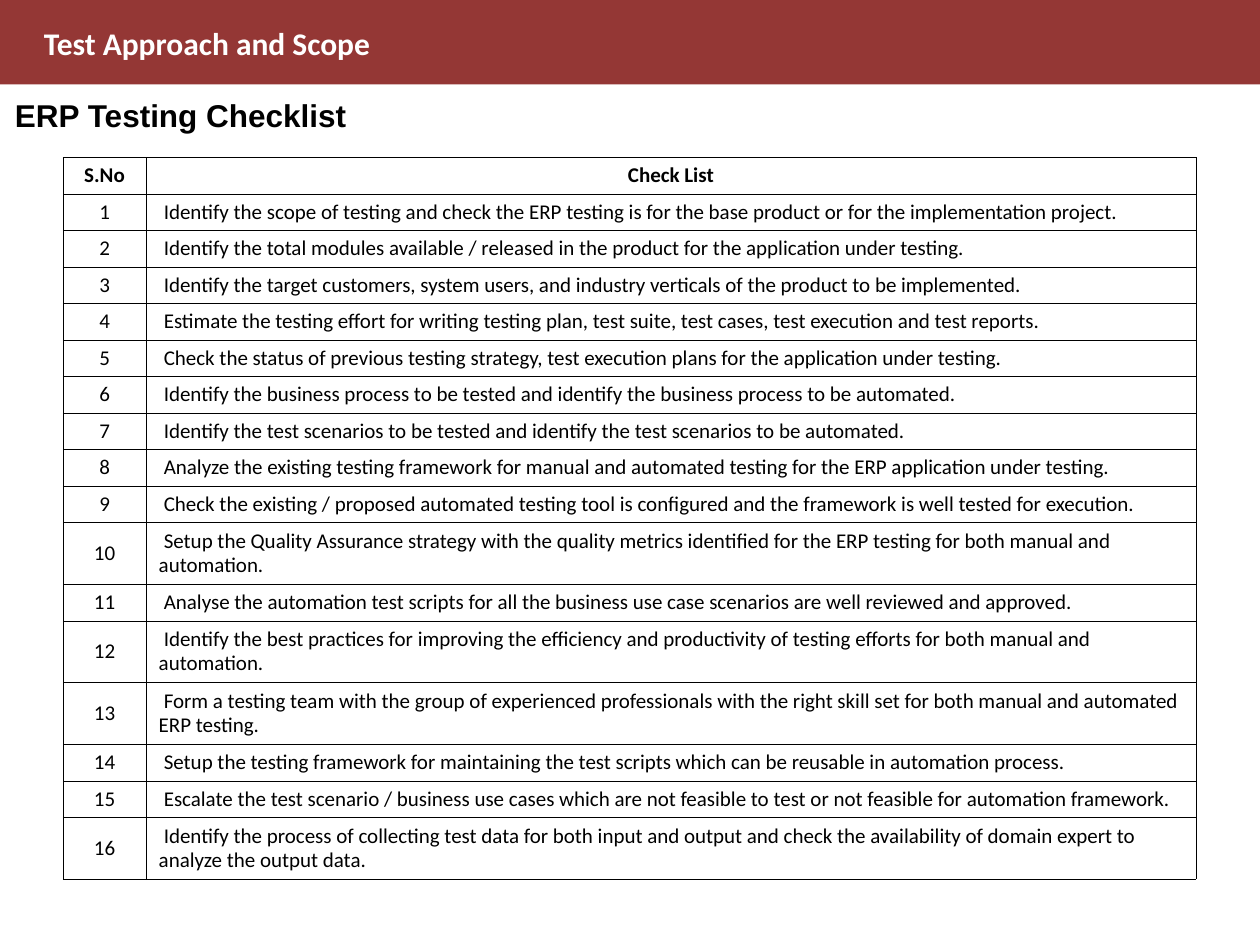
from dataclasses import dataclass

from lxml.etree import SubElement
from pptx import Presentation
from pptx.dml.color import RGBColor
from pptx.enum.shapes import MSO_SHAPE
from pptx.enum.text import MSO_ANCHOR, PP_ALIGN
from pptx.oxml.ns import qn
from pptx.util import Inches, Pt


@dataclass(frozen=True)
class Theme:
    band: RGBColor = RGBColor(0x94, 0x37, 0x35)
    light: RGBColor = RGBColor(0xFF, 0xFF, 0xFF)
    dark: RGBColor = RGBColor(0, 0, 0)
    body_font: str = "Calibri"
    heading_font: str = "Arial"
    title_size: float = 18
    cell_size: float = 12
    line_width: float = 0.23
    spacing: float = 0.93


@dataclass(frozen=True)
class Label:
    text: str
    left: float
    top: float
    width: float
    height: float
    font: str
    color: RGBColor
    spacing: float


@dataclass(frozen=True)
class Check:
    text: str
    lines: int = 1


THEME = Theme()

LABELS = [
    Label("Test Approach and Scope", 0.25, 0.14, 9.48, 0.46,
          THEME.body_font, THEME.light, 1.0),
    Label("ERP Testing Checklist", 0.02, 0.74, 3.38, 0.66,
          THEME.heading_font, THEME.dark, THEME.spacing),
]

CHECKS = [
    Check("Identify the scope of testing and check the ERP testing is for the base product or for the implementation project."),
    Check("Identify the total modules available / released in the product for the application under testing."),
    Check("Identify the target customers, system users, and industry verticals of the product to be implemented."),
    Check("Estimate the testing effort for writing testing plan, test suite, test cases, test execution and test reports."),
    Check("Check the status of previous testing strategy, test execution plans for the application under testing."),
    Check("Identify the business process to be tested and identify the business process to be automated."),
    Check("Identify the test scenarios to be tested and identify the test scenarios to be automated."),
    Check("Analyze the existing testing framework for manual and automated testing for the ERP application under testing."),
    Check("Check the existing / proposed automated testing tool is configured and the framework is well tested for execution."),
    Check("Setup the Quality Assurance strategy with the quality metrics identified for the ERP testing for both manual and automation.", 2),
    Check("Analyse the automation test scripts for all the business use case scenarios are well reviewed and approved."),
    Check("Identify the best practices for improving the efficiency and productivity of testing efforts for both manual and automation.", 2),
    Check("Form a testing team with the group of experienced professionals with the right skill set for both manual and automated ERP testing.", 2),
    Check("Setup the testing framework for maintaining the test scripts which can be reusable in automation process."),
    Check("Escalate the test scenario / business use cases which are not feasible to test or not feasible for automation framework."),
    Check("Identify the process of collecting test data for both input and output and check the availability of domain expert to analyze the output data.", 2),
]

COLUMN_WIDTHS = (0.66, 8.33)
ROW_HEIGHTS = {1: 0.29, 2: 0.49}
FIRST_LINE_INDENT = 0.04


def style_paragraph(p, font: str, size: float, color: RGBColor,
                    bold: bool, spacing: float) -> None:
    p.line_spacing = spacing
    p.font.name = font
    p.font.size = Pt(size)
    p.font.bold = bold
    p.font.color.rgb = color


def add_band(s) -> None:
    band = s.shapes.add_shape(MSO_SHAPE.RECTANGLE, 0, 0, Inches(10), Inches(0.67))
    band.shadow.inherit = False
    band.fill.solid()
    band.fill.fore_color.rgb = THEME.band
    band.line.fill.background()


def add_label(s, label: Label) -> None:
    box = s.shapes.add_textbox(Inches(label.left), Inches(label.top),
                               Inches(label.width), Inches(label.height))
    tf = box.text_frame
    tf.word_wrap = True
    p = tf.paragraphs[0]
    p.text = label.text
    style_paragraph(p, label.font, THEME.title_size, label.color, True, label.spacing)


def set_borders(cell) -> None:
    tc_pr = cell._tc.get_or_add_tcPr()
    for i, side in enumerate(("lnL", "lnR", "lnT", "lnB")):
        ln = tc_pr.makeelement(qn(f"a:{side}"), {"w": str(Pt(THEME.line_width))})
        fill = SubElement(ln, qn("a:solidFill"))
        SubElement(fill, qn("a:srgbClr"), val=str(THEME.dark))
        tc_pr.insert(i, ln)


def fill_cell(cell, text: str, bold: bool, centered: bool) -> None:
    cell.fill.background()
    set_borders(cell)
    cell.vertical_anchor = MSO_ANCHOR.MIDDLE
    p = cell.text_frame.paragraphs[0]
    p.text = text
    p.alignment = PP_ALIGN.CENTER if centered else PP_ALIGN.LEFT
    if not centered:
        p._p.get_or_add_pPr().set("indent", str(Inches(FIRST_LINE_INDENT)))
    style_paragraph(p, THEME.body_font, THEME.cell_size, THEME.dark, bold, THEME.spacing)


def add_checklist(s, checks: list[Check]) -> None:
    heights = [ROW_HEIGHTS[1]] + [ROW_HEIGHTS[c.lines] for c in checks]
    frame = s.shapes.add_table(len(heights), len(COLUMN_WIDTHS), Inches(0.5), Inches(1.25),
                               Inches(sum(COLUMN_WIDTHS)), Inches(sum(heights)))
    table = frame.table
    table.first_row = False
    table.horz_banding = False
    for column, width in zip(table.columns, COLUMN_WIDTHS):
        column.width = Inches(width)
    for row, height in zip(table.rows, heights):
        row.height = Inches(height)

    # Header row, then one numbered row per check
    for col, heading in enumerate(("S.No", "Check List")):
        fill_cell(table.cell(0, col), heading, bold=True, centered=True)
    for number, check in enumerate(checks, start=1):
        fill_cell(table.cell(number, 0), str(number), bold=False, centered=True)
        fill_cell(table.cell(number, 1), check.text, bold=False, centered=False)


def main() -> None:
    prs = Presentation()
    prs.slide_width, prs.slide_height = Inches(10), Inches(7.5)
    s = prs.slides.add_slide(prs.slide_layouts[6])

    # Title band and headings
    add_band(s)
    for label in LABELS:
        add_label(s, label)

    # Checklist table
    add_checklist(s, CHECKS)
    prs.save("out.pptx")


if __name__ == "__main__":
    main()
